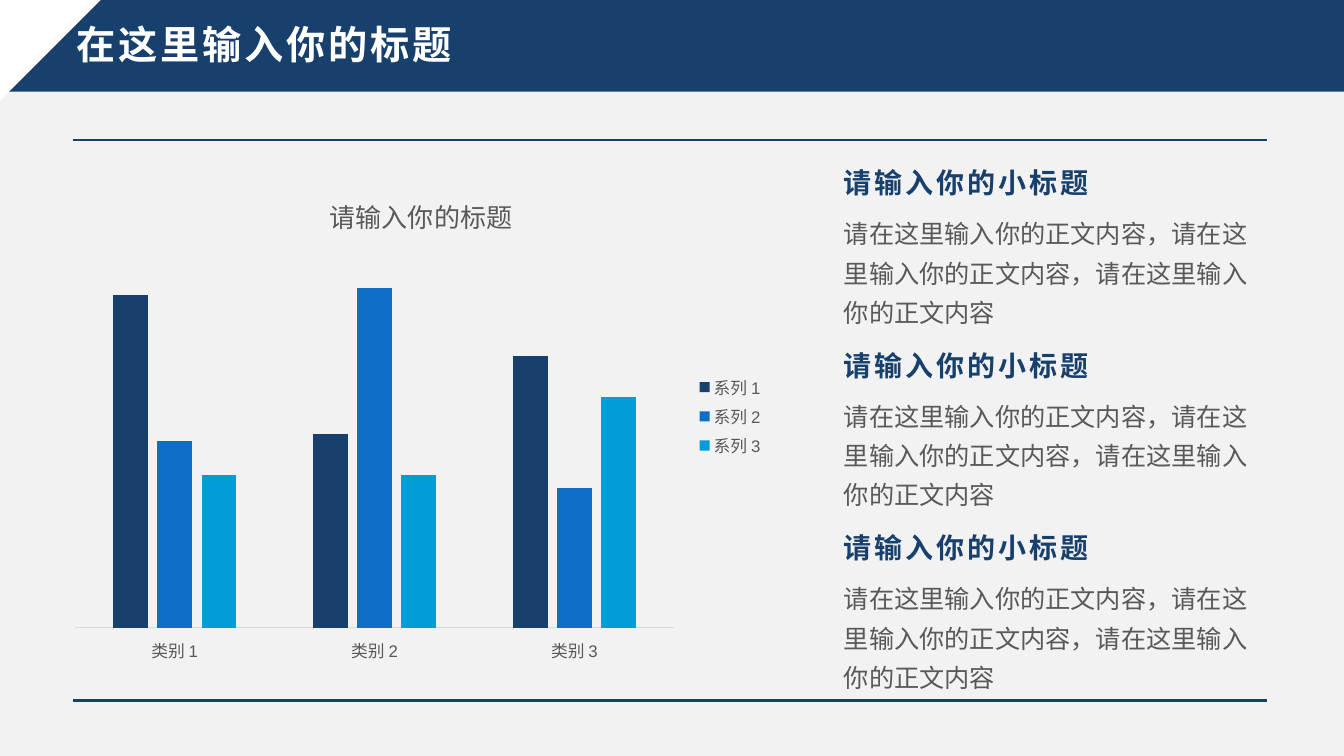
from copy import deepcopy
from dataclasses import dataclass

from lxml import etree
from pptx import Presentation
from pptx.chart.data import CategoryChartData
from pptx.dml.color import RGBColor
from pptx.enum.chart import XL_CHART_TYPE, XL_LEGEND_POSITION, XL_TICK_LABEL_POSITION, XL_TICK_MARK
from pptx.enum.shapes import MSO_CONNECTOR, MSO_SHAPE
from pptx.enum.text import MSO_ANCHOR, MSO_AUTO_SIZE, PP_ALIGN
from pptx.oxml.ns import qn
from pptx.util import Inches, Pt

COLUMN = XL_CHART_TYPE.COLUMN_CLUSTERED
RIGHT = XL_LEGEND_POSITION.RIGHT
LOW = XL_TICK_LABEL_POSITION.LOW
NO_TICK = XL_TICK_MARK.NONE
RECT = MSO_SHAPE.RECTANGLE
STRAIGHT = MSO_CONNECTOR.STRAIGHT
TOP, MIDDLE = MSO_ANCHOR.TOP, MSO_ANCHOR.MIDDLE
NO_FIT = MSO_AUTO_SIZE.NONE
LEFT = PP_ALIGN.LEFT


@dataclass(frozen=True)
class Theme:
    font: str = "Arial"
    navy: str = "17406D"
    blue: str = "0F6FC6"
    cyan: str = "009DD9"
    white: str = "FFFFFF"
    paper: str = "F2F2F2"
    grey: str = "595959"
    pale: str = "D9D9D9"
    title: float = 28
    head: float = 20
    body: float = 18
    chart: float = 18.6
    label: float = 12


THEME = Theme()
WIDTH, HEIGHT = 13.33, 7.5
EDGE, END = 0.72, 12.57      # ends of the two rules
TEXT_X, TEXT_Y = 8.27, 1.63  # start of the text column
STEP = 1.81                  # height of one text row
GAP = 0.4                    # from a heading to its body

TITLE = "在这里输入你的标题"
HEAD = "请输入你的小标题"
BODY = "，".join(["请在这里输入你的正文内容"] * 3)
ROWS = [(HEAD, BODY)] * 3
CHART_TITLE = "请输入你的标题"
CATS = ["类别 1", "类别 2", "类别 3"]
SERIES = [
    ("系列 1", (98, 57, 80), THEME.navy),
    ("系列 2", (55, 100, 41), THEME.blue),
    ("系列 3", (45, 45, 68), THEME.cyan),
]


def rgb(code):
    return RGBColor.from_string(code)


def paint(shape, color):
    shape.fill.solid()
    shape.fill.fore_color.rgb = rgb(color)
    shape.line.fill.background()
    shape.shadow.inherit = False


def style(font, size, color, bold=False):
    font.name, font.size, font.bold = THEME.font, Pt(size), bold
    font.color.rgb = rgb(color)


def write(shape, text, box, size, color, bold=False, space=0, lines=1.0, anchor=TOP):
    """Place a text holder and fill it with one formatted paragraph."""
    shape.left, shape.top, shape.width, shape.height = map(Inches, box)
    frame = shape.text_frame
    frame.word_wrap, frame.auto_size = True, NO_FIT
    frame.vertical_anchor = anchor
    para = frame.paragraphs[0]
    para.alignment, para.line_spacing = LEFT, lines
    para.space_before = Pt(0)
    run = para.add_run()
    run.text = text
    style(run.font, size, color, bold)
    run._r.get_or_add_rPr().set("spc", str(space * 100))


def add_bar(slide):
    bar = slide.shapes.add_shape(RECT, 0, 0, Inches(WIDTH), Inches(0.91))
    paint(bar, THEME.navy)


def add_arrow(slide):
    """Draw the double arrowhead before the title."""
    left, mid, tip = 0.21, 0.34, 0.6
    top, axis, foot = 0.32, 0.47, 0.62
    points = [(mid, 0.4), (mid, top), (tip, axis), (mid, foot), (mid, 0.54), (left, foot)]
    path = slide.shapes.build_freeform(left, top, scale=Inches(1))
    path.add_line_segments(points, close=True)
    paint(path.convert_to_shape(), THEME.white)


def add_rule(slide, y):
    ends = map(Inches, (EDGE, y, END, y))
    rule = slide.shapes.add_connector(STRAIGHT, *ends)
    rule.line.color.rgb = rgb(THEME.navy)
    rule.line.width = Pt(2)
    etree.SubElement(rule._element.spPr, qn("a:effectLst"))


def set_layout(part, target=None, **shares):
    """Pin a chart part at shares of the chart's size."""
    old = part.find(qn("c:layout"))
    if old is not None:
        part.remove(old)
    layout = etree.Element(qn("c:layout"))
    manual = etree.SubElement(layout, qn("c:manualLayout"))
    if target:
        etree.SubElement(manual, qn("c:layoutTarget")).set("val", target)
    for mode in ("xMode", "yMode"):
        etree.SubElement(manual, qn(f"c:{mode}")).set("val", "edge")
    for name, share in shares.items():
        etree.SubElement(manual, qn(f"c:{name}")).set("val", str(share))
    text = part.find(qn("c:tx"))
    if text is None:
        part.insert(0, layout)
    else:
        text.addnext(layout)


def add_columns(slide):
    data = CategoryChartData()
    data.categories = CATS
    for name, values, _ in SERIES:
        data.add_series(name, values)
    box = map(Inches, (0.6, TEXT_Y, 7.08, 5))
    chart = slide.shapes.add_chart(COLUMN, *box, data).chart
    style(chart.font, THEME.label, THEME.grey)

    frame = chart.chart_title.text_frame
    frame.text = CHART_TITLE
    style(frame.paragraphs[0].runs[0].font, THEME.chart, THEME.grey)
    set_layout(chart.chart_title._element, x=0.37, y=0.05)
    area = chart._chartSpace.chart.plotArea
    set_layout(area, "inner", x=0.02, y=0.11, w=0.84, h=0.81)

    chart.has_legend = True
    chart.legend.position = RIGHT
    chart.legend.include_in_layout = False
    style(chart.legend.font, THEME.label, THEME.grey)

    axis = chart.category_axis
    axis.major_tick_mark, axis.tick_label_position = NO_TICK, LOW
    axis.format.line.color.rgb = rgb(THEME.pale)
    axis.format.line.width = Pt(0.75)
    style(axis.tick_labels.font, THEME.label, THEME.grey)
    scale = chart.value_axis
    scale.minimum_scale, scale.maximum_scale = 0, 120
    scale.has_major_gridlines = scale.visible = False

    plot = chart.plots[0]
    plot.gap_width, plot.overlap, plot.vary_by_categories = 219, -27, False
    for series, (_, _, color) in zip(plot.series, SERIES):
        series.format.fill.solid()
        series.format.fill.fore_color.rgb = rgb(color)


def extend(layout, count):
    """Give the layout as many body placeholders as the text rows need."""
    body = layout.placeholders[1]._element
    for index in range(1, count):
        twin = deepcopy(body)
        twin.nvSpPr.cNvPr.set("id", str(100 + index))
        twin.nvSpPr.nvPr.find(qn("p:ph")).set("idx", str(20 + index))
        body.getparent().append(twin)


def add_text(slide):
    holders = list(slide.placeholders)
    for holder in holders:
        slide.shapes._spTree.append(holder._element)  # in front of the bar
    title, *bodies = holders
    write(title, TITLE, (0.66, 0.23, 11.5, 0.46), THEME.title, THEME.white,
          bold=True, space=2, lines=0.9, anchor=MIDDLE)
    for row, (head, body) in enumerate(ROWS):
        y = TEXT_Y + row * STEP
        write(bodies[2 * row], head, (TEXT_X, y, 4.61, 0.39), THEME.head, THEME.navy,
              bold=True, space=2, lines=0.9)
        write(bodies[2 * row + 1], body, (TEXT_X, y + GAP, 4.34, 0.31), THEME.body,
              THEME.grey, lines=1.3)


def main():
    deck = Presentation()
    deck.slide_width, deck.slide_height = Inches(WIDTH), Inches(HEIGHT)
    layout = deck.slide_layouts.get_by_name("Section Header")
    extend(layout, 2 * len(ROWS))
    slide = deck.slides.add_slide(layout)
    slide.background.fill.solid()
    slide.background.fill.fore_color.rgb = rgb(THEME.paper)
    add_bar(slide)
    add_arrow(slide)
    for y in (1.39, 6.95):
        add_rule(slide, y)
    add_columns(slide)
    add_text(slide)
    deck.save("out.pptx")


if __name__ == "__main__":
    main()
